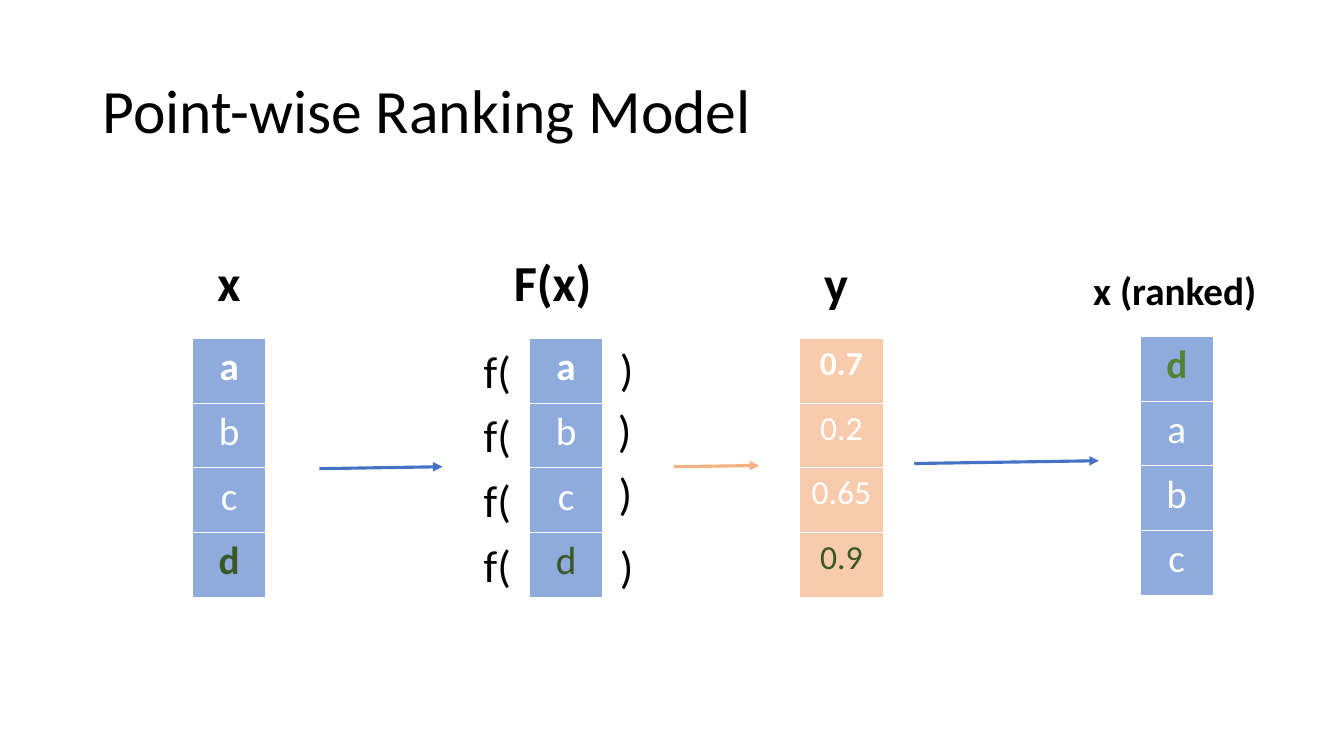
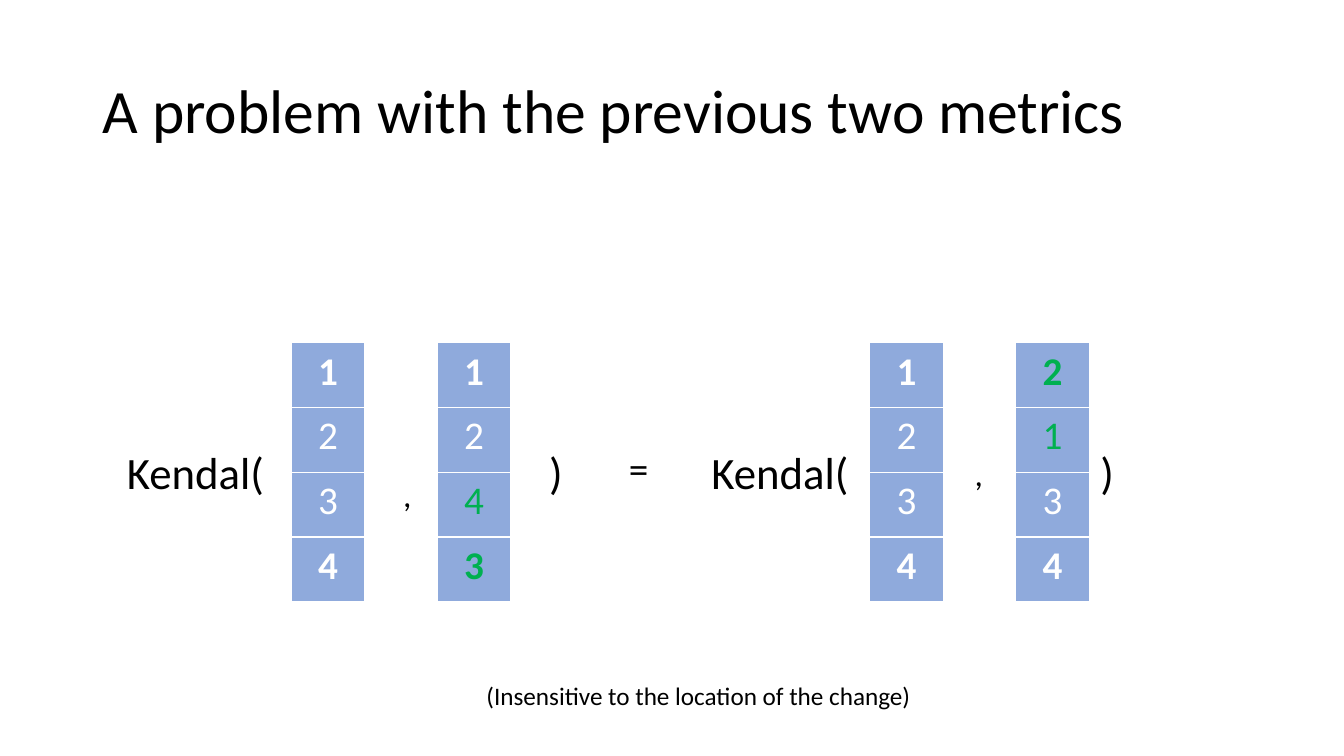
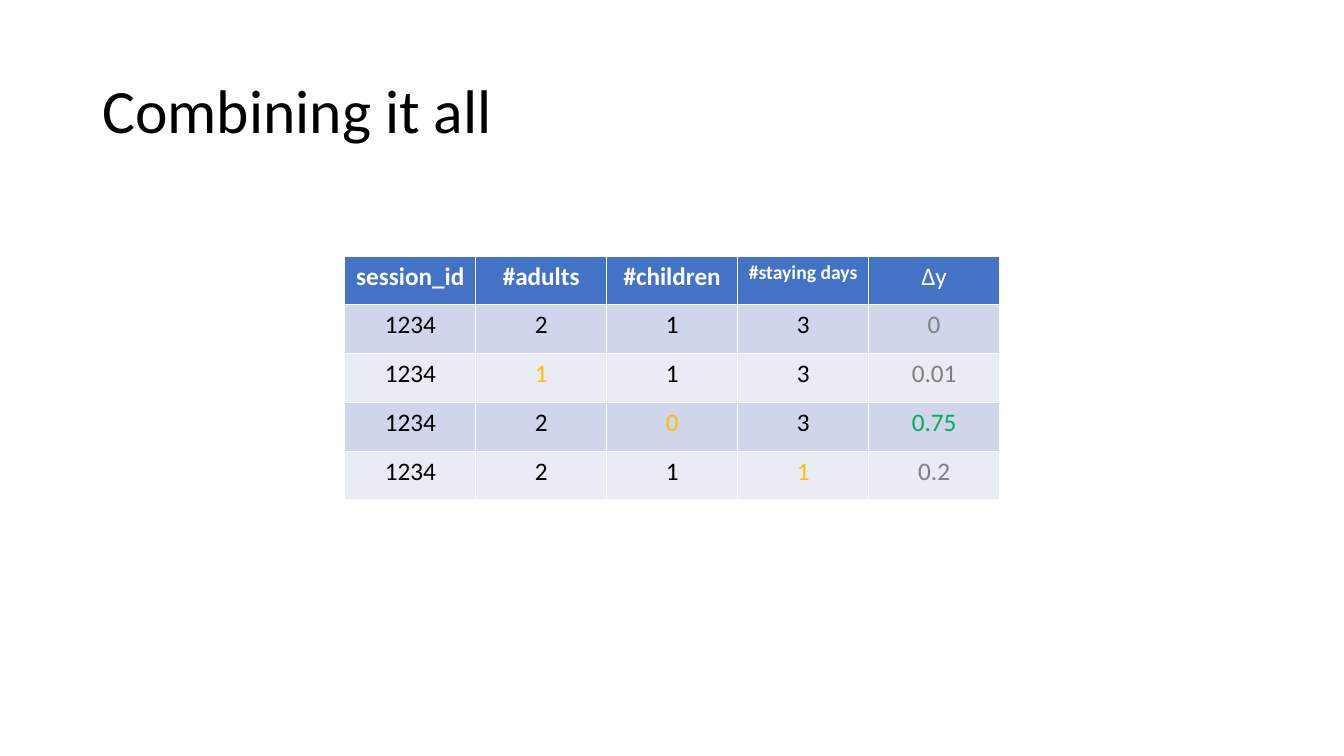
"""Build three slides on ranking models, rank metrics and feature combinations."""

import dataclasses
import typing

import lxml.etree
import pptx
import pptx.dml.color
import pptx.enum.shapes
import pptx.enum.text
import pptx.oxml.ns
import pptx.presentation
import pptx.shapes.autoshape
import pptx.slide
import pptx.text.text
import pptx.util

Cm = pptx.util.Cm
Pt = pptx.util.Pt

FONT = "Calibri"
COLORS = {
    "black": "000000",
    "white": "FFFFFF",
    "blue": "4472C4",
    "light_blue": "8FAADC",
    "orange": "F4B183",
    "light_orange": "F8CBAD",
    "dark_green": "385723",
    "olive_green": "548235",
    "green": "00B050",
    "amber": "FFC000",
    "gray": "808080",
    "band_dark": "CFD5EA",
    "band_light": "E9EBF5",
}
VECTOR_ROW = 1.63
VECTOR_WIDTH = 1.85


@dataclasses.dataclass(frozen=True)
class Entry:
    text: str
    color: str = "white"
    bold: bool = False
    size: float = 28


@dataclasses.dataclass(frozen=True)
class Grid:
    left: float
    top: float
    column_width: float
    row_height: float
    rows: list[list[Entry]]
    fills: list[str]


@dataclasses.dataclass(frozen=True)
class Label:
    text: str
    left: float
    top: float
    width: float
    size: float = 32
    bold: bool = False


@dataclasses.dataclass(frozen=True)
class Arrow:
    start: tuple[float, float]
    end: tuple[float, float]
    color: str = "blue"


def rgb(name: str) -> pptx.dml.color.RGBColor:
    return pptx.dml.color.RGBColor.from_string(COLORS[name])


def add_run(paragraph: pptx.text.text._Paragraph, entry: Entry) -> None:
    run = paragraph.add_run()
    run.text = entry.text
    run.font.name = FONT
    run.font.size = Pt(entry.size)
    run.font.bold = entry.bold
    run.font.color.rgb = rgb(entry.color)


def add_titled_slide(
    presentation: pptx.presentation.Presentation, title: str
) -> pptx.slide.Slide:
    slide = presentation.slides.add_slide(presentation.slide_layouts[5])
    shape = slide.shapes.title
    shape.left, shape.top = Cm(2.33), Cm(1.01)
    shape.width, shape.height = Cm(29.21), Cm(3.68)
    frame = shape.text_frame
    frame.auto_size = pptx.enum.text.MSO_AUTO_SIZE.NONE
    frame.vertical_anchor = pptx.enum.text.MSO_ANCHOR.MIDDLE
    paragraph = frame.paragraphs[0]
    paragraph.alignment = pptx.enum.text.PP_ALIGN.LEFT
    paragraph.line_spacing = 0.9
    add_run(paragraph, Entry(title, "black", size=44))
    return slide


def add_grid(slide: pptx.slide.Slide, grid: Grid) -> None:
    row_count, column_count = len(grid.rows), len(grid.rows[0])
    table = slide.shapes.add_table(
        row_count,
        column_count,
        Cm(grid.left),
        Cm(grid.top),
        Cm(grid.column_width * column_count),
        Cm(grid.row_height * row_count),
    ).table
    for row_index, (entries, fill) in enumerate(zip(grid.rows, grid.fills)):
        for column_index, entry in enumerate(entries):
            cell = table.cell(row_index, column_index)
            cell.fill.solid()
            cell.fill.fore_color.rgb = rgb(fill)
            paragraph = cell.text_frame.paragraphs[0]
            paragraph.alignment = pptx.enum.text.PP_ALIGN.CENTER
            add_run(paragraph, entry)


def add_vector(
    slide: pptx.slide.Slide,
    left: float,
    top: float,
    entries: list[Entry],
    width: float = VECTOR_WIDTH,
    fill: str = "light_blue",
) -> None:
    rows = [[entry] for entry in entries]
    add_grid(slide, Grid(left, top, width, VECTOR_ROW, rows, [fill] * len(rows)))


def add_label(slide: pptx.slide.Slide, label: Label) -> None:
    height = 0.254 + label.size * 0.043
    shape = slide.shapes.add_textbox(
        Cm(label.left), Cm(label.top), Cm(label.width), Cm(height)
    )
    frame = shape.text_frame
    frame.word_wrap = False
    frame.auto_size = pptx.enum.text.MSO_AUTO_SIZE.SHAPE_TO_FIT_TEXT
    add_run(frame.paragraphs[0], Entry(label.text, "black", label.bold, label.size))


def add_labels(slide: pptx.slide.Slide, labels: typing.Iterable[Label]) -> None:
    for label in labels:
        add_label(slide, label)


def add_arrow(slide: pptx.slide.Slide, arrow: Arrow) -> None:
    connector = slide.shapes.add_connector(
        pptx.enum.shapes.MSO_CONNECTOR.STRAIGHT,
        *(Cm(value) for value in arrow.start + arrow.end),
    )
    connector.line.width = Pt(2.25)
    connector.line.color.rgb = rgb(arrow.color)
    qualified = pptx.oxml.ns.qn
    properties = connector.element.spPr
    line = properties.find(qualified("a:ln"))
    lxml.etree.SubElement(line, qualified("a:tailEnd"), type="triangle")
    lxml.etree.SubElement(properties, qualified("a:effectLst"))


def build_ranking_slide(presentation: pptx.presentation.Presentation) -> None:
    slide = add_titled_slide(presentation, "Point-wise Ranking Model")
    top = 8.53
    inputs = [Entry("a", bold=True), Entry("b"), Entry("c")]
    add_vector(slide, 4.85, top, inputs + [Entry("d", "dark_green", True)])
    add_vector(slide, 13.34, top, inputs + [Entry("d", "dark_green")])
    scores = [
        Entry("0.7", bold=True, size=24),
        Entry("0.2", size=24),
        Entry("0.65", size=24),
        Entry("0.9", "dark_green", size=24),
    ]
    add_vector(slide, 20.14, top, scores, 2.13, "light_orange")
    ranked = [Entry("d", "olive_green", True), Entry("a"), Entry("b"), Entry("c")]
    add_vector(slide, 28.73, 8.48, ranked)

    add_labels(
        slide,
        (Label("f(", 11.94, top + index * VECTOR_ROW, 1.22) for index in range(4)),
    )
    closings = [(15.37, 8.48), (15.32, 10.03), (15.34, 11.61), (15.37, 13.46)]
    add_labels(slide, (Label(")", left, level, 0.86) for left, level in closings))
    add_labels(
        slide,
        [
            Label("x", 5.23, 6.2, 1.09, 36, True),
            Label("F(x)", 12.7, 6.2, 2.49, 36, True),
            Label("y", 20.52, 6.22, 1.12, 36, True),
            Label("x (ranked)", 27.3, 6.58, 4.67, 28, True),
        ],
    )
    for arrow in [
        Arrow((8.05, 11.81), (11.15, 11.76)),
        Arrow((16.99, 11.76), (19.13, 11.73), "orange"),
        Arrow((23.04, 11.68), (27.69, 11.61)),
    ]:
        add_arrow(slide, arrow)


def build_metrics_slide(presentation: pptx.presentation.Presentation) -> None:
    slide = add_titled_slide(presentation, "A problem with the previous two metrics")
    orders = [
        (7.34, "1234", ""),
        (11.02, "1243", "43"),
        (21.92, "1234", ""),
        (25.6, "2134", "21"),
    ]
    for left, order, changed in orders:
        entries = [
            Entry(rank, "green" if rank in changed else "white", index in (0, 3))
            for index, rank in enumerate(order)
        ]
        add_vector(slide, left, 8.64, entries)
    middle = 11.07
    add_labels(
        slide,
        [
            Label("Kendal(", 2.95, middle, 4.01),
            Label("Kendal(", 17.68, middle, 4.01),
            Label(")", 13.59, middle, 0.86),
            Label(")", 27.48, middle, 0.86),
            Label("=", 15.6, middle, 1.02, 28),
            Label("(Insensitive to the location of the change)", 12.01, 17.02, 11.35, 18),
            Label(",", 9.91, 11.81, 0.74, 24),
            Label(",", 24.31, 11.28, 0.74, 24),
        ],
    )


def build_combination_slide(presentation: pptx.presentation.Presentation) -> None:
    slide = add_titled_slide(presentation, "Combining it all")
    header = [
        Entry("session_id", bold=True, size=18),
        Entry("#adults", bold=True, size=18),
        Entry("#children", bold=True, size=18),
        Entry("#staying days", bold=True, size=14),
        Entry("Δy", size=18),
    ]
    baseline = ["1234", "2", "1", "3"]
    variations = [
        (baseline, "0", "gray"),
        (["1234", "1", "1", "3"], "0.01", "gray"),
        (["1234", "2", "0", "3"], "0.75", "green"),
        (["1234", "2", "1", "1"], "0.2", "gray"),
    ]
    body = [
        [
            Entry(value, "black" if value == usual else "amber", size=18)
            for value, usual in zip(values, baseline)
        ]
        + [Entry(change, color, size=18)]
        for values, change, color in variations
    ]
    fills = ["blue"] + ["band_dark", "band_light"] * 2
    add_grid(slide, Grid(8.69, 6.45, 3.3, 1.23, [header] + body, fills))


def main() -> None:
    presentation = pptx.Presentation()
    presentation.slide_width = Cm(33.87)
    presentation.slide_height = Cm(19.05)
    build_ranking_slide(presentation)
    build_metrics_slide(presentation)
    build_combination_slide(presentation)
    presentation.save("out.pptx")


if __name__ == "__main__":
    main()
